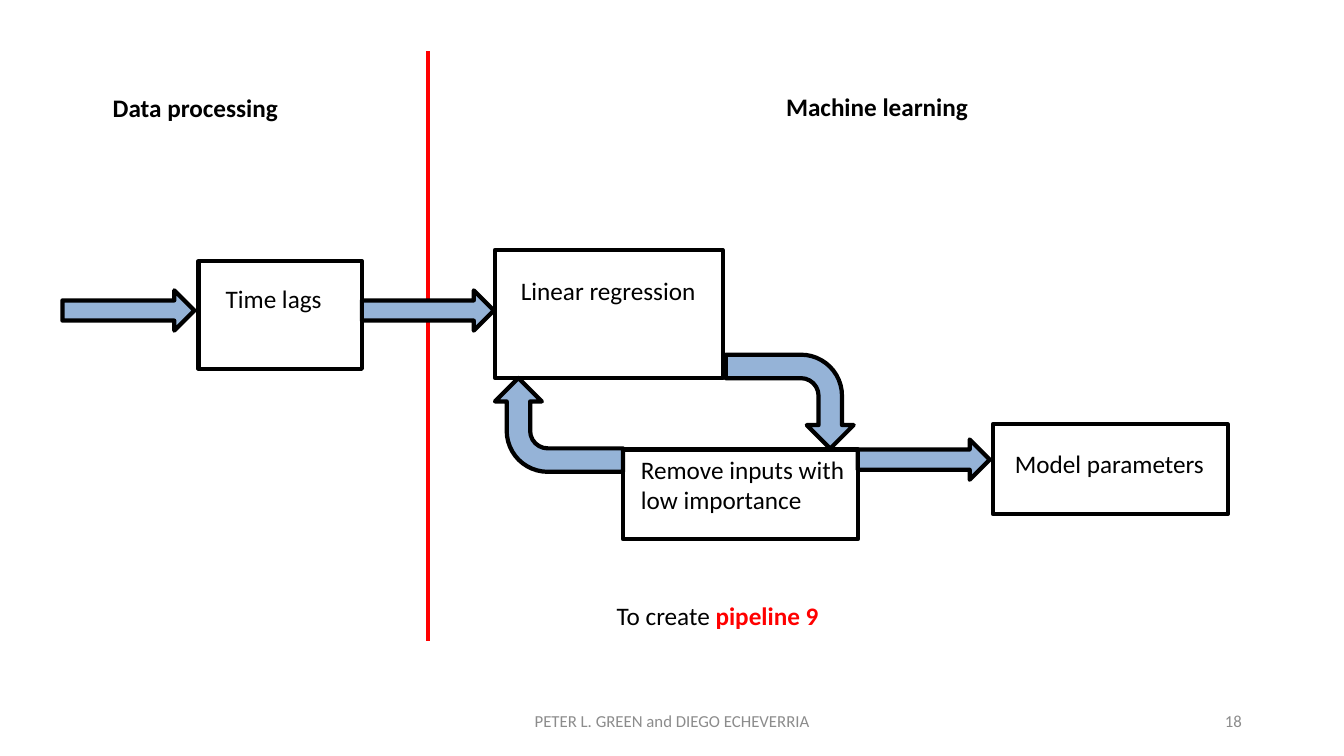
from lxml import etree
from pptx import Presentation
from pptx.dml.color import RGBColor
from pptx.enum.shapes import MSO_CONNECTOR, MSO_SHAPE
from pptx.enum.text import MSO_ANCHOR, PP_ALIGN
from pptx.oxml.ns import qn
from pptx.util import Pt

RECTANGLE = MSO_SHAPE.RECTANGLE
RIGHT = MSO_SHAPE.RIGHT_ARROW
BENT = MSO_SHAPE.BENT_ARROW
STRAIGHT = MSO_CONNECTOR.STRAIGHT
TOP, MIDDLE = MSO_ANCHOR.TOP, MSO_ANCHOR.MIDDLE
LEFT, CENTER, ALIGN_RIGHT = PP_ALIGN.LEFT, PP_ALIGN.CENTER, PP_ALIGN.RIGHT

FONT = "Calibri"
BLACK, WHITE, RED, BLUE, GREY = "000000", "FFFFFF", "FF0000", "95B3D7", "8C8C8C"
LINE_WIDTH = 3
LABEL_SIZE, FOOTER_SIZE = 18, 12
LABEL_HEIGHT = 29.08
ARROW_SIZE = (94.3, 28.8)
BENT_SIZE = (67, 91.4)

DIVIDER = (306, 36.7, 306, 457.9)
BOXES = [
    (141.8, 186.5, 116.7, 77),
    (353.5, 178.6, 162.7, 91.4),
    (445, 321.1, 167.8, 64.1),
    (709.2, 303.1, 167.8, 64.1),
]
ARROWS = [
    (RIGHT, 44.6, 207.4, ARROW_SIZE, 0),
    (RIGHT, 258.5, 207.4, ARROW_SIZE, 0),
    (RIGHT, 612.7, 313.9, ARROW_SIZE, 0),
    (BENT, 530.6, 241.2, BENT_SIZE, 90),
    (BENT, 365.8, 257.8, BENT_SIZE, 270),
]
LABELS = [
    (73.4, 62.6, 199.4, [("Data processing", BLACK, True)]),
    (554.4, 61.9, 199.4, [("Machine learning", BLACK, True)]),
    (154.1, 198.7, 92.2, [("Time lags", BLACK, False)]),
    (365, 193, 152.6, [("Linear regression", BLACK, False)]),
    (450.7, 321.1, 183.6, [("Remove inputs with low importance", BLACK, False)]),
    (717.8, 316.8, 175, [("Model parameters", BLACK, False)]),
    (433.4, 425.5, 339.1, [("To create ", BLACK, False), ("pipeline 9", RED, True)]),
]
FOOTERS = [
    (318.2, 324, "PETER L. GREEN and DIEGO ECHEVERRIA", CENTER),
    (678.2, 216, "18", ALIGN_RIGHT),
]
FOOTER_TOP = 500.4


def color(value):
    return RGBColor.from_string(value)


def add_block(slide, kind, left, top, width, height, fill, rotation=0):
    shape = slide.shapes.add_shape(kind, Pt(left), Pt(top), Pt(width), Pt(height))
    shape.shadow.inherit = False
    shape.fill.solid()
    shape.fill.fore_color.rgb = color(fill)
    shape.line.color.rgb = color(BLACK)
    shape.line.width = Pt(LINE_WIDTH)
    shape.rotation = rotation


def add_label(slide, left, top, width, parts, size=LABEL_SIZE, align=LEFT, anchor=TOP):
    box = slide.shapes.add_textbox(Pt(left), Pt(top), Pt(width), Pt(LABEL_HEIGHT))
    frame = box.text_frame
    frame.word_wrap = True
    frame.vertical_anchor = anchor
    paragraph = frame.paragraphs[0]
    paragraph.alignment = align
    for text, text_color, bold in parts:
        run = paragraph.add_run()
        run.text = text
        run.font.name = FONT
        run.font.size = Pt(size)
        run.font.bold = bold
        run.font.color.rgb = color(text_color)


def add_divider(slide):
    connector = slide.shapes.add_connector(STRAIGHT, *map(Pt, DIVIDER))
    connector.line.color.rgb = color(RED)
    connector.line.width = Pt(LINE_WIDTH)
    etree.SubElement(connector._element.spPr, qn("a:effectLst"))


def main():
    presentation = Presentation()
    presentation.slide_width, presentation.slide_height = Pt(960), Pt(540)
    slide = presentation.slides.add_slide(presentation.slide_layouts[6])
    add_divider(slide)
    for box in BOXES:
        add_block(slide, RECTANGLE, *box, WHITE)
    for kind, left, top, size, rotation in ARROWS:
        add_block(slide, kind, left, top, *size, BLUE, rotation)
    for label in LABELS:
        add_label(slide, *label)
    for left, width, text, align in FOOTERS:
        add_label(slide, left, FOOTER_TOP, width, [(text, GREY, False)],
                  FOOTER_SIZE, align, MIDDLE)
    presentation.save("out.pptx")


if __name__ == "__main__":
    main()
